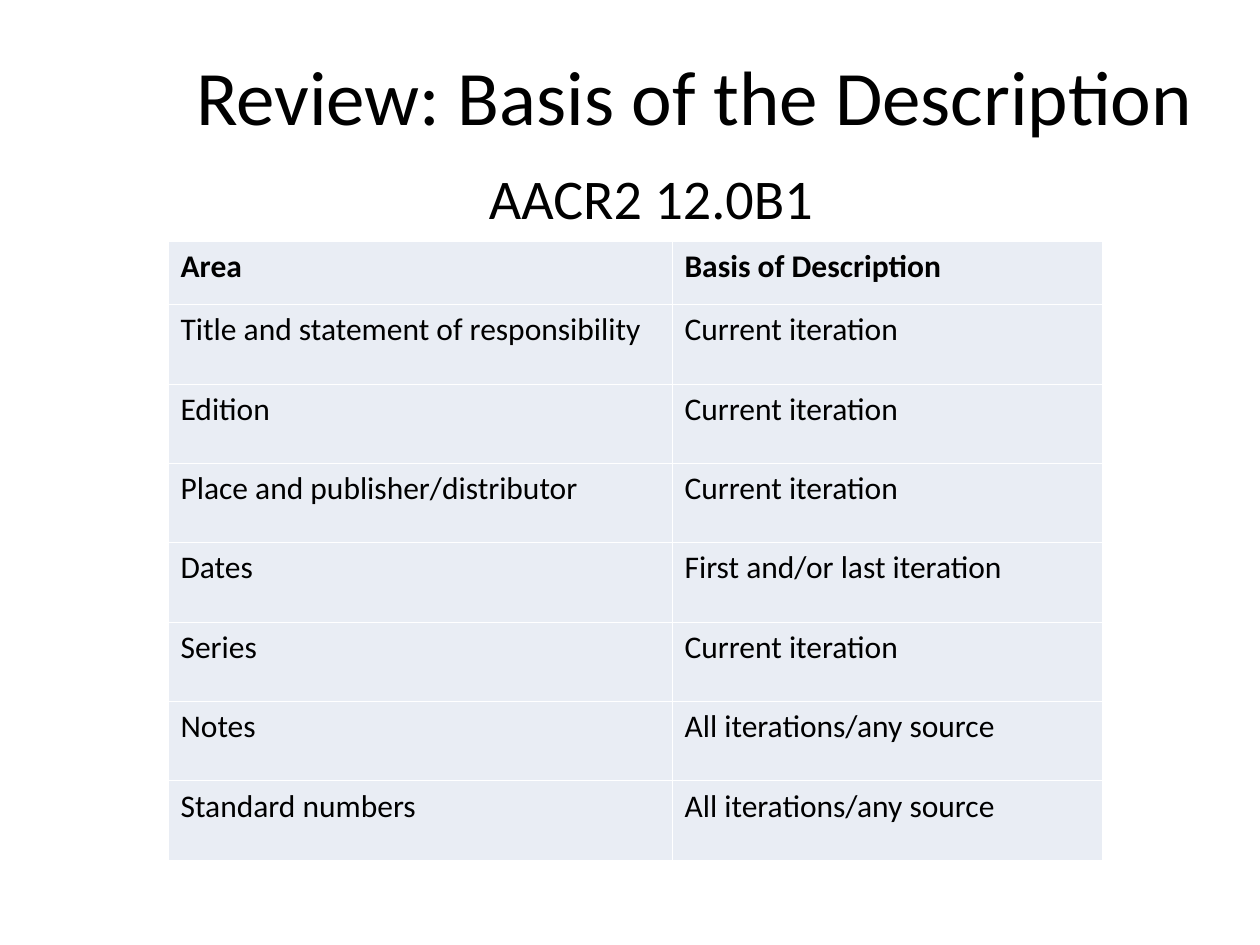
from lxml.etree import SubElement
from pptx import Presentation
from pptx.dml.color import RGBColor
from pptx.enum.text import MSO_ANCHOR, PP_ALIGN
from pptx.oxml.ns import qn
from pptx.util import Pt

BLACK = RGBColor(0x00, 0x00, 0x00)
WHITE = RGBColor(0xFF, 0xFF, 0xFF)
PALE_BLUE = RGBColor(0xE9, 0xED, 0xF4)

ROWS = [
    ("Area", "Basis of Description"),
    ("Title and statement of responsibility", "Current iteration"),
    ("Edition", "Current iteration"),
    ("Place and publisher/distributor", "Current iteration"),
    ("Dates", "First and/or last iteration"),
    ("Series", "Current iteration"),
    ("Notes", "All iterations/any source"),
    ("Standard numbers", "All iterations/any source"),
]


class SlideBuilder:
    font_name = "Calibri"
    border_width = Pt(0.45)

    def __init__(self, slide):
        self.s = slide

    def style(self, p, size, bold=False):
        p.font.name = self.font_name
        p.font.size = Pt(size)
        p.font.bold = bold
        p.font.color.rgb = BLACK

    def text(self, text, box, size, anchor=MSO_ANCHOR.TOP, spacing=1.0):
        tf = self.s.shapes.add_textbox(*map(Pt, box)).text_frame
        tf.word_wrap = True
        tf.vertical_anchor = anchor
        p = tf.paragraphs[0]
        p.text = text
        p.alignment = PP_ALIGN.CENTER
        p.line_spacing = spacing
        self.style(p, size)

    def border(self, cell):
        tc_pr = cell._tc.get_or_add_tcPr()
        for side in ("a:lnL", "a:lnR", "a:lnT", "a:lnB"):
            ln = SubElement(tc_pr, qn(side), w=str(self.border_width))
            fill = SubElement(ln, qn("a:solidFill"))
            SubElement(fill, qn("a:srgbClr"), val=str(WHITE))

    def table(self, rows, left, top, widths, heights, size):
        box = map(Pt, (left, top, sum(widths), sum(heights)))
        table = self.s.shapes.add_table(len(rows), len(widths), *box).table
        table.horz_banding = False
        for column, width in zip(table.columns, widths):
            column.width = Pt(width)
        for i, (row, height) in enumerate(zip(rows, heights)):
            table.rows[i].height = Pt(height)
            for j, text in enumerate(row):
                cell = table.cell(i, j)
                self.border(cell)
                cell.fill.solid()
                cell.fill.fore_color.rgb = PALE_BLUE
                p = cell.text_frame.paragraphs[0]
                p.text = text
                self.style(p, size, bold=i == 0)


def main():
    prs = Presentation()
    prs.slide_width, prs.slide_height = Pt(720), Pt(540)
    builder = SlideBuilder(prs.slides.add_slide(prs.slide_layouts[6]))

    # Title and rule number
    builder.text("Review: Basis of the Description", (90, 18, 614, 66), 44,
                 anchor=MSO_ANCHOR.BOTTOM)
    builder.text("AACR2 12.0B1", (42, 96, 660, 414), 32, spacing=0.85)

    # Areas and their basis of description
    heights = [36] + [45.36] * (len(ROWS) - 1)
    builder.table(ROWS, 96, 138, (288, 246), heights, 18)

    prs.save("out.pptx")


if __name__ == "__main__":
    main()
